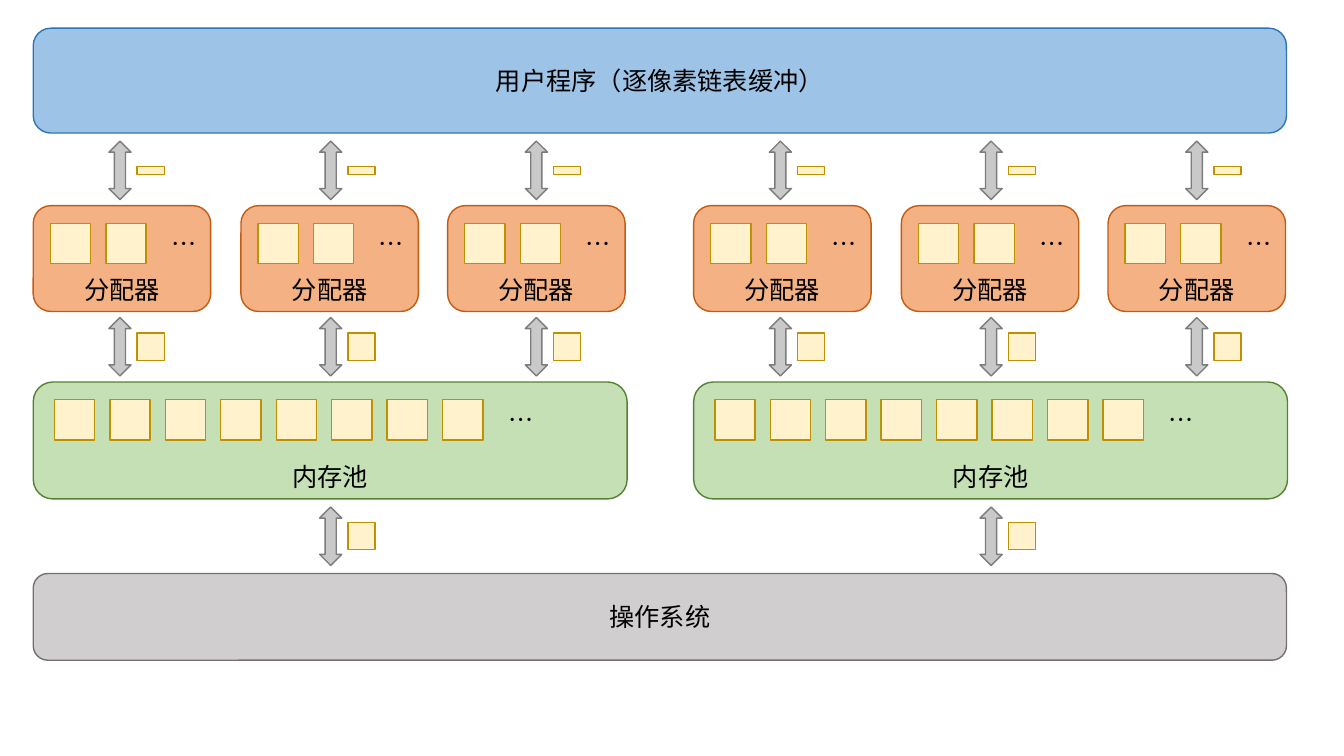
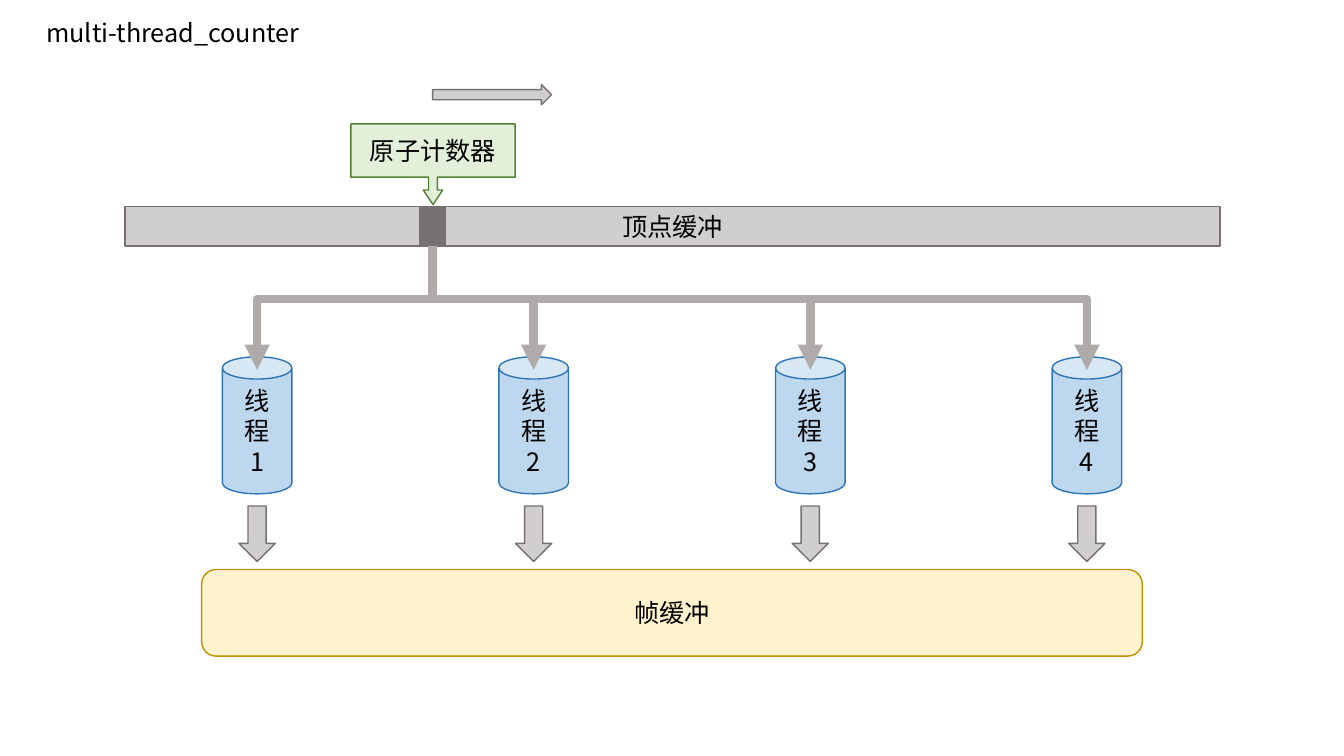
from dataclasses import dataclass

from lxml import etree
from pptx import Presentation
from pptx.dml.color import RGBColor
from pptx.enum.lang import MSO_LANGUAGE_ID
from pptx.enum.shapes import MSO_CONNECTOR, MSO_SHAPE
from pptx.enum.text import MSO_ANCHOR, MSO_AUTO_SIZE, PP_ALIGN
from pptx.oxml.ns import qn
from pptx.util import Inches, Pt


@dataclass(frozen=True)
class Theme:
    font: str = "Noto Sans CJK SC"
    text_size: int = 18
    line_width: int = 1
    route_width: int = 6
    text: str = "000000"
    route: str = "AFABAB"
    # Fill and outline of each kind of part
    program: tuple = ("9DC3E6", "2E75B6")
    thread: tuple = ("BDD7EE", "2E75B6")
    pool: tuple = ("C5E0B4", "548235")
    counter: tuple = ("E2F0D9", "548235")
    allocator: tuple = ("F4B183", "C55A11")
    block: tuple = ("FFF2CC", "BF9000")
    exchange: tuple = ("C9C9C9", "7C7C7C")
    system: tuple = ("D0CECE", "767171")
    cursor: tuple = ("767171", "767171")


THEME = Theme()

# Memory layers
PROGRAM, SYSTEM = "用户程序（逐像素链表缓冲）", "操作系统"
ALLOCATOR, POOL, MORE = "分配器", "内存池", "…"
HALF_OFFSETS = (0, 6.55)
ALLOCATOR_LEFTS = (0.33, 2.39, 4.44)
TOKEN_LEFTS = (1.36, 3.45, 5.49)
POOL_TOKEN_LEFT = TOKEN_LEFTS[1]
MARGIN, FULL_WIDTH = 0.33, 12.43
BLOCK, BLOCK_PITCH = 0.4, 0.55
TOKEN, THIN_TOKEN = 0.27, 0.08
EXCHANGE_WIDTH, EXCHANGE_HEIGHT = 0.22, 0.58

# Thread counter
TITLE = "multi-thread_counter"
COUNTER, VERTEX_BUFFER, FRAME_BUFFER = "原子计数器", "顶点缓冲", "帧缓冲"
THREADS = ("线程\n1", "线程\n2", "线程\n3", "线程\n4")
FIRST_THREAD, LAST_THREAD = 2.55, 10.78
CURSOR_CENTER = 4.29
BUFFER_TOP, BUFFER_HEIGHT = 2.05, 0.39
ROUTE_END = 3.67
ROUTE_BEND = 0.43


def write(frame, text, align, **layout):
    """Fill a text frame in the shared type style."""
    for attribute, value in {"word_wrap": True, **layout}.items():
        setattr(frame, attribute, value)
    frame.text = text
    font_format = {"size": Pt(THEME.text_size), "name": THEME.font, "bold": False,
                   "language_id": MSO_LANGUAGE_ID.SIMPLIFIED_CHINESE}
    for paragraph in frame.paragraphs:
        paragraph.alignment = align
        for run in paragraph.runs:
            for attribute, value in font_format.items():
                setattr(run.font, attribute, value)
            run.font.color.rgb = RGBColor.from_string(THEME.text)
            latin = run.font._element.find(qn("a:latin"))
            east_asian = etree.Element(qn("a:ea"), typeface=THEME.font)
            latin.addnext(east_asian)


def add_part(slide, kind, box, colors, text="", adjustments=(), **layout):
    part = slide.shapes.add_shape(kind, *map(Inches, box))
    part.shadow.inherit = False
    fill, outline = colors
    part.fill.solid()
    part.fill.fore_color.rgb = RGBColor.from_string(fill)
    part.line.color.rgb = RGBColor.from_string(outline)
    part.line.width = Pt(THEME.line_width)
    for index, value in enumerate(adjustments):
        part.adjustments[index] = value
    if text:
        write(part.text_frame, text, PP_ALIGN.CENTER,
              **{"vertical_anchor": MSO_ANCHOR.MIDDLE, **layout})


def add_container(slide, box, colors, label, block_count, padding):
    """Draw a labelled box holding a row of memory blocks and an ellipsis."""
    add_part(slide, MSO_SHAPE.ROUNDED_RECTANGLE, box, colors, label,
             vertical_anchor=MSO_ANCHOR.BOTTOM, margin_bottom=Inches(0.02))
    left, top = box[0] + padding, box[1] + 0.175
    for index in range(block_count):
        add_part(slide, MSO_SHAPE.RECTANGLE,
                 (left + index * BLOCK_PITCH, top, BLOCK, BLOCK), THEME.block)
    more = slide.shapes.add_textbox(
        *map(Inches, (left + block_count * BLOCK_PITCH, top, 0.38, BLOCK)))
    write(more.text_frame, MORE, PP_ALIGN.LEFT)


def add_exchange(slide, token_left, top, token_height=TOKEN):
    """Draw a two-way arrow with the unit of memory it carries."""
    add_part(slide, MSO_SHAPE.UP_DOWN_ARROW,
             (token_left - 0.28, top, EXCHANGE_WIDTH, EXCHANGE_HEIGHT), THEME.exchange)
    token_top = top + (EXCHANGE_HEIGHT - token_height) / 2
    add_part(slide, MSO_SHAPE.RECTANGLE,
             (token_left, token_top, TOKEN, token_height), THEME.block)


def add_route(slide, start, end):
    """Draw an elbow arrow that leaves and arrives vertically."""
    (x1, y1), (x2, y2) = start, end
    length, spread = y2 - y1, abs(x2 - x1)
    left = (x1 + x2 - length) / 2
    top = (y1 + y2 - spread) / 2
    ends = (left, left + length)
    begin_x, end_x = ends if x2 < x1 else reversed(ends)
    route = slide.shapes.add_connector(
        MSO_CONNECTOR.ELBOW, *map(Inches, (begin_x, top, end_x, top + spread)))
    route.line.color.rgb = RGBColor.from_string(THEME.route)
    route.line.width = Pt(THEME.route_width)
    properties = route._element.spPr
    quarter_turns = 1 if x2 < x1 else 3
    properties.find(qn("a:xfrm")).set("rot", str(quarter_turns * 90 * 60000))
    guides = properties.find(qn("a:prstGeom")).get_or_add_avLst()
    etree.SubElement(guides, qn("a:gd"), name="adj1",
                     fmla=f"val {round(ROUTE_BEND * 100000)}")
    etree.SubElement(properties.find(qn("a:ln")), qn("a:tailEnd"), type="triangle")
    etree.SubElement(properties, qn("a:effectLst"))


def build_memory_layers(presentation):
    slide = presentation.slides.add_slide(presentation.slide_layouts[6])
    for label, top, height, colors in ((PROGRAM, 0.28, 1.04, THEME.program),
                                       (SYSTEM, 5.69, 0.86, THEME.system)):
        add_part(slide, MSO_SHAPE.ROUNDED_RECTANGLE,
                 (MARGIN, top, FULL_WIDTH, height), colors, label)
    for offset in HALF_OFFSETS:
        add_container(slide, (MARGIN + offset, 3.79, 5.89, 1.16),
                      THEME.pool, POOL, 8, 0.21)
        for left, token_left in zip(ALLOCATOR_LEFTS, TOKEN_LEFTS):
            add_container(slide, (left + offset, 2.04, 1.76, 1.05),
                          THEME.allocator, ALLOCATOR, 2, 0.17)
            add_exchange(slide, token_left + offset, 1.4, THIN_TOKEN)
            add_exchange(slide, token_left + offset, 3.15)
        add_exchange(slide, POOL_TOKEN_LEFT + offset, 5.03)


def build_thread_counter(presentation):
    slide = presentation.slides.add_slide(presentation.slide_layouts[5])
    title = slide.shapes.title
    title_box = {"left": 0.36, "top": 0.12, "width": 2.93, "height": 0.4}
    for attribute, value in title_box.items():
        setattr(title, attribute, Inches(value))
    write(title.text_frame, TITLE, PP_ALIGN.LEFT, vertical_anchor=MSO_ANCHOR.TOP,
          auto_size=MSO_AUTO_SIZE.NONE)

    pitch = (LAST_THREAD - FIRST_THREAD) / (len(THREADS) - 1)
    centers = [FIRST_THREAD + index * pitch for index in range(len(THREADS))]
    for center, label in zip(centers, THREADS):
        add_part(slide, MSO_SHAPE.CAN, (center - 0.345, 3.54, 0.69, 1.36),
                 THEME.thread, label, (0.32,))
        add_part(slide, MSO_SHAPE.DOWN_ARROW, (center - 0.18, 5.02, 0.36, 0.55),
                 THEME.system)

    add_part(slide, MSO_SHAPE.ROUNDED_RECTANGLE, (2, 5.65, 9.33, 0.86),
             THEME.block, FRAME_BUFFER)
    add_part(slide, MSO_SHAPE.RECTANGLE, (1.24, BUFFER_TOP, 10.86, BUFFER_HEIGHT),
             THEME.system, VERTEX_BUFFER)
    add_part(slide, MSO_SHAPE.RECTANGLE,
             (CURSOR_CENTER - 0.13, BUFFER_TOP, 0.26, BUFFER_HEIGHT), THEME.cursor)
    add_part(slide, MSO_SHAPE.DOWN_ARROW_CALLOUT,
             (CURSOR_CENTER - 0.81, 1.23, 1.63, 0.8), THEME.counter, COUNTER,
             (0.11, 0.12, 0.18, 0.66))
    add_part(slide, MSO_SHAPE.RIGHT_ARROW, (CURSOR_CENTER, 0.84, 1.18, 0.2),
             THEME.system)
    for center in centers:
        add_route(slide, (CURSOR_CENTER, BUFFER_TOP + BUFFER_HEIGHT),
                  (center, ROUTE_END))


def main():
    presentation = Presentation()
    presentation.slide_width, presentation.slide_height = Inches(13.33), Inches(7.5)
    build_memory_layers(presentation)
    build_thread_counter(presentation)
    presentation.save("out.pptx")


if __name__ == "__main__":
    main()
